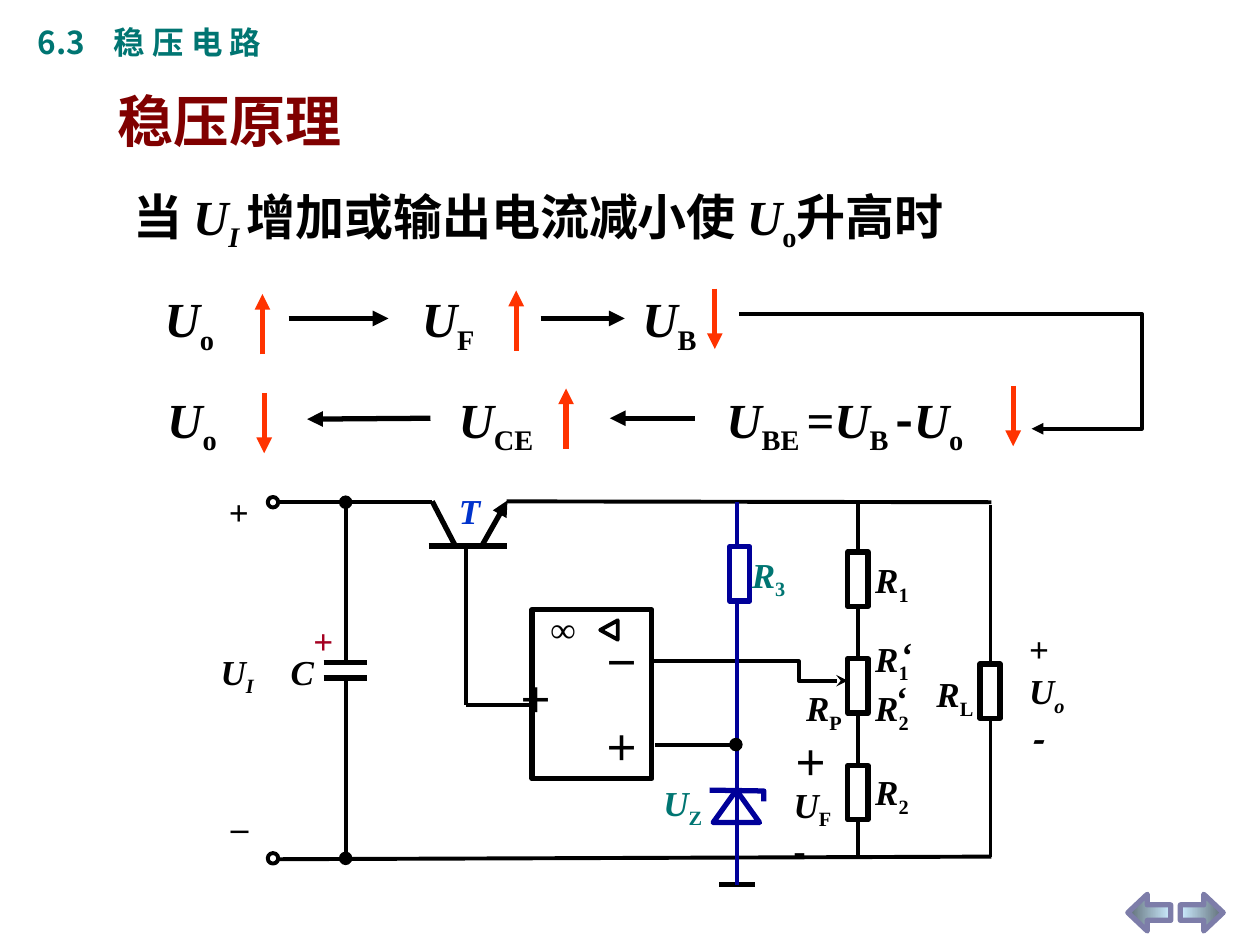
"""Build the slide on the principle of the series voltage regulator."""
from lxml import etree
from pptx import Presentation
from pptx.dml.color import RGBColor
from pptx.enum.shapes import MSO_CONNECTOR, MSO_SHAPE
from pptx.enum.text import MSO_ANCHOR, PP_ALIGN
from pptx.oxml.ns import qn
from pptx.util import Pt

STRAIGHT = MSO_CONNECTOR.STRAIGHT
RECTANGLE, ELLIPSE, TRIANGLE = MSO_SHAPE.RECTANGLE, MSO_SHAPE.OVAL, MSO_SHAPE.ISOSCELES_TRIANGLE
LEFT_ARROW, RIGHT_ARROW = MSO_SHAPE.LEFT_ARROW, MSO_SHAPE.RIGHT_ARROW
LEFT, CENTER = PP_ALIGN.LEFT, PP_ALIGN.CENTER

SERIF, SANS = "Times New Roman", "Noto Sans CJK SC"
BLACK, WHITE, RED, NAVY, TEAL = "000000", "FFFFFF", "FF3300", "000099", "007572"
THIN, THICK = 2.25, 3

# Run styles: i = italic, s = subscript, h = sans hyphen.
HEADINGS = [
    ("6.3    稳 压 电 路", 14.5, 9.5, 170, 18, TEAL),
    ("稳压原理", 60, 46, 215, 32, "800000"),
]
STATEMENT = [("当 ", ""), ("U", "i"), ("I ", "is"), ("增加或输出电流减小使 ", ""),
             ("U", "i"), ("o", "s"), ("升高时", "")]
DIFFERENCE = [("U", "i"), ("BE ", "s"), ("=", ""), ("U", "i"), ("B ", "s"),
              ("-", "h"), ("U", "i"), ("o", "s")]
CHAIN = [("o", 87, 161.5), ("F", 234, 161.5), ("B", 360, 161.5), ("o", 88.5, 219), ("CE", 255, 219)]
SYMBOLS = [
    ("U", "Z", 372, 443, TEAL), ("R", "3", 422.5, 312.5, TEAL), ("R", "L", 528, 381, BLACK),
    ("R", "1", 493, 315.5, BLACK), ("R", "1", 493, 360.5, BLACK), ("R", "2", 493, 389, BLACK),
    ("R", "2", 493, 437, BLACK), ("R", "P", 453.5, 389, BLACK),
]
SIGNS = [
    ("T", "i", 255, 276, 26.5, CENTER, "0033CC"), ("C", "i", 159, 368, 30, LEFT, BLACK),
    ("+", "", 112.5, 276.5, 48, CENTER, BLACK), ("–", "", 113, 456.5, 48, CENTER, BLACK),
    ("+", "", 172, 350.5, 31, LEFT, "A50021"), ("∞", "", 307.5, 343.5, 34, LEFT, BLACK),
    ("－", "", 338.5, 363, 44, LEFT, BLACK), ("＋", "", 338.5, 411.5, 44, LEFT, BLACK),
    ("＋", "", 289.5, 384, 44, LEFT, BLACK),
    ("‘", "i", 507.5, 358, 36.5, LEFT, BLACK), ("‘", "i", 504.5, 383, 36.5, LEFT, BLACK),
]
RISING = [(150, 202.5), (295, 200.5), (323.5, 256.5)]
FALLING = [(408.5, 165), (151, 224.5), (579, 220.5)]
STEPS = [(165, 182, 222, 182), (309, 182, 357, 182), (246, 239, 175.5, 239.5), (397, 239, 348.5, 239)]
WIRES = [
    (158.5, 491, 566.5, 489.5), (247, 287, 158.5, 287), (289.5, 286.5, 566.5, 287),
    (197.5, 288.5, 197.5, 378.5), (197.5, 387.5, 197.5, 492.5), (566, 288.5, 566, 489.5),
    (266.5, 311, 266.5, 403), (266.5, 403, 303, 403), (374.5, 425.5, 420, 425.5),
    (490.5, 287, 490.5, 491),
]
PLATES = [(245, 312, 289.5, 312), (260.5, 312.5, 247, 286.5), (185, 378.5, 209.5, 378.5),
          (185, 387.5, 209.5, 387.5), (411, 505.5, 431.5, 505.5)]
RESISTORS = [(417, 312.5, NAVY), (560, 379.5, BLACK)] + [(484.5, 315.5 + 61 * i, BLACK) for i in range(3)]
TERMINALS = [(156, 287), (156, 490.5)]
JUNCTIONS = [(197.5, 287), (197.5, 490.5), (420.5, 425.5)]
FEEDBACK = [(422.5, 179.5), (652.5, 179.5), (652.5, 245), (589.5, 245)]
WIPER = [(371.5, 378), (456.5, 378), (456.5, 389), (484.5, 389)]
CATHODE = [(405.5, 451.5), (436.5, 452), (436.5, 458)]


def rgb(value):
    return RGBColor.from_string(value)


def style_line(shape, color, width, head=None):
    shape.line.color.rgb = rgb(color)
    shape.line.width = Pt(width)
    if head:
        etree.SubElement(shape.line._get_or_add_ln(), qn("a:tailEnd"), type=head)


def add_line(page, ends, color, width, head=None):
    line = page.shapes.add_connector(STRAIGHT, *map(Pt, ends))
    style_line(line, color, width, head)
    etree.SubElement(line._element.spPr, qn("a:effectLst"))


def add_path(page, points, color, width, head=None):
    start, *rest = [(Pt(x), Pt(y)) for x, y in points]
    builder = page.shapes.build_freeform(*start)
    builder.add_line_segments(rest, close=False)
    path = builder.convert_to_shape()
    path.shadow.inherit = False
    path.fill.background()
    style_line(path, color, width, head)


def add_shape(page, kind, place, color, width, fill=None):
    shape = page.shapes.add_shape(kind, *map(Pt, place))
    shape.shadow.inherit = False
    if fill:
        shape.fill.solid()
        shape.fill.fore_color.rgb = rgb(fill)
    else:
        shape.fill.background()
    style_line(shape, color, width)
    return shape


def add_dot(page, center, size, width, fill):
    x, y = center
    add_shape(page, ELLIPSE, (x - size / 2, y - size / 2, size, size), BLACK, width, fill)


def add_text(page, lines, x, y, width, size, color=BLACK, face=SERIF, align=LEFT, inset=(7.2, 3.6)):
    box = page.shapes.add_textbox(Pt(x), Pt(y), Pt(width), Pt(size * 1.2 * len(lines) + 2 * inset[1]))
    frame = box.text_frame
    frame.word_wrap = True
    frame.vertical_anchor = MSO_ANCHOR.TOP
    frame.margin_left = frame.margin_right = Pt(inset[0])
    frame.margin_top = frame.margin_bottom = Pt(inset[1])
    for index, spans in enumerate(lines):
        para = frame.paragraphs[0] if index == 0 else frame.add_paragraph()
        para.alignment = align
        font = para.font
        font.name, font.size, font.bold = face, Pt(size), True
        font.color.rgb = rgb(color)
        etree.SubElement(font._element, qn("a:ea"), typeface=SANS)
        for text, style in spans:
            span = para.add_run()
            span.text = text
            if "i" in style:
                span.font.italic = True
            if "s" in style:
                span.font._element.set("baseline", "-25000")
            if "h" in style:
                span.font.name = SANS


def symbol(letter, index, style="s"):
    return [(letter, "i"), (index, style)]


def draw_chain(page):
    for text, x, y, width, size, color in HEADINGS:
        add_text(page, [[(text, "")]], x, y, width, size, color, SANS)
    add_text(page, [STATEMENT], 69, 103, 521, 28)
    add_text(page, [DIFFERENCE], 408, 219, 191, 28)
    for index, x, y in CHAIN:
        add_text(page, [symbol("U", index)], x, y, 80, 28)
    for x, y in RISING:
        add_line(page, (x, y, x, y - 34.5), RED, THICK, "triangle")
    for x, y in FALLING:
        add_line(page, (x, y, x, y + 34.5), RED, THICK, "triangle")
    for ends in STEPS:
        add_line(page, ends, BLACK, THICK, "triangle")
    add_path(page, FEEDBACK, BLACK, THIN, "triangle")


def draw_circuit(page):
    for ends in WIRES:
        add_line(page, ends, BLACK, THIN)
    for ends in PLATES:
        add_line(page, ends, BLACK, THICK)
    add_line(page, (275, 312.5, 290, 286), BLACK, THICK, "triangle")
    add_path(page, WIPER, BLACK, THIN, "stealth")
    add_path(page, CATHODE, NAVY, THICK)
    add_shape(page, TRIANGLE, (407.5, 451.5, 26.5, 18.5), NAVY, THICK)
    add_line(page, (421, 287, 421, 505.5), NAVY, THIN)
    add_shape(page, RECTANGLE, (304, 348.5, 68.5, 96.5), BLACK, THICK)
    add_shape(page, TRIANGLE, (342.5, 355, 11, 10), BLACK, THIN).rotation = 270
    for x, y, color in RESISTORS:
        add_shape(page, RECTANGLE, (x, y, 11.5, 31), color, THICK, WHITE)
    for center in TERMINALS:
        add_dot(page, center, 6, THIN, WHITE)
    for center in JUNCTIONS:
        add_dot(page, center, 7, 0.75, BLACK)
    for letter, index, x, y, color in SYMBOLS:
        add_text(page, [symbol(letter, index)], x, y, 38, 20, color)
    for text, style, x, y, width, align, color in SIGNS:
        add_text(page, [[(text, style)]], x, y, width, 20, color, align=align)
    add_text(page, [symbol("U", "I", "is")], 119, 368, 47, 20)
    add_text(page, [[("＋", "")], symbol("U", "F"), [("-", "h")]], 453.5, 423.5, 36.5, 20, inset=(0, 0))
    add_text(page, [[("+", "")], symbol("U", "o", "is"), [("-", "ih")]], 581, 355, 62, 20)


def draw_navigation(page):
    for kind, x, angle in ((LEFT_ARROW, 644.5, 0), (RIGHT_ARROW, 674.5, 180)):
        arrow = add_shape(page, kind, (x, 511, 24.5, 21), "7D7DA9", THICK)
        arrow.adjustments[0], arrow.adjustments[1] = 0.42, 0.53
        arrow.fill.gradient()
        arrow.fill.gradient_angle = angle
        for stop, color in zip(arrow.fill.gradient_stops, ("5E6C75", "CCECFF")):
            stop.color.rgb = rgb(color)


def main():
    deck = Presentation()
    deck.slide_width, deck.slide_height = Pt(720), Pt(540)
    page = deck.slides.add_slide(deck.slide_layouts[6])
    draw_chain(page)
    draw_circuit(page)
    draw_navigation(page)
    deck.save("out.pptx")


if __name__ == "__main__":
    main()
